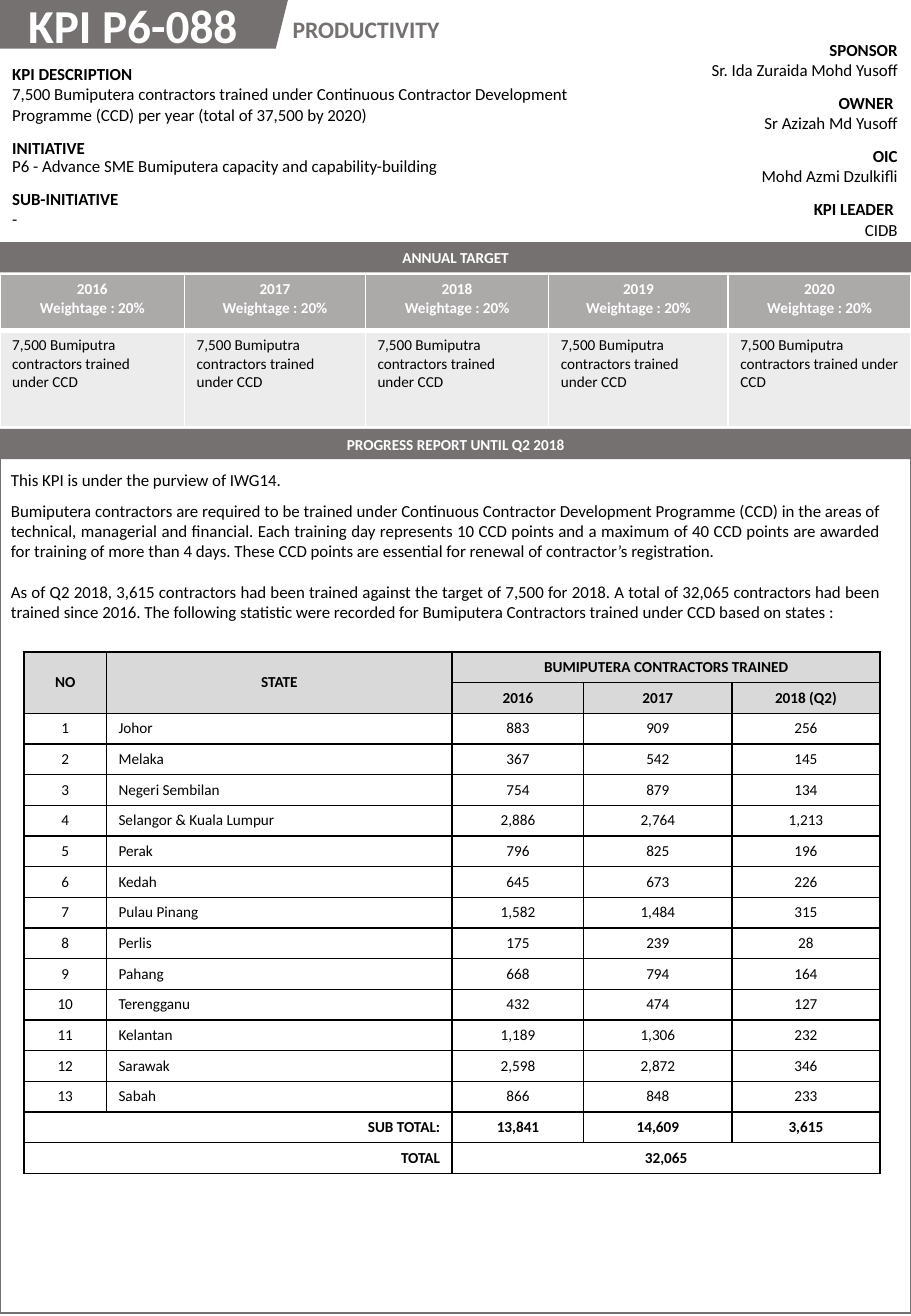
"""Build the one-page KPI P6-088 progress report."""
from lxml.etree import SubElement
from pptx import Presentation
from pptx.dml.color import RGBColor
from pptx.enum.shapes import MSO_SHAPE as SHAPE
from pptx.enum.text import MSO_ANCHOR as ANCHOR, MSO_AUTO_SIZE as AUTO_SIZE, PP_ALIGN as ALIGN
from pptx.oxml.ns import qn
from pptx.util import Pt

GREY = RGBColor(0x76, 0x71, 0x71)
PALE = RGBColor(0xD9, 0xD9, 0xD9)
BLACK = RGBColor(0, 0, 0)
WHITE = RGBColor(255, 255, 255)

PLAIN = {"name": "Calibri", "size": Pt(10), "bold": False}
STRONG = {**PLAIN, "bold": True}
SMALL = {**PLAIN, "size": Pt(9)}
SMALL_STRONG = {**SMALL, "bold": True}

TARGET = "7,500 Bumiputra contractors trained"
TARGETS = [
    (2016, [TARGET, "under CCD"]),
    (2017, [TARGET + " under CCD"]),
    (2018, [TARGET, "under CCD"]),
    (2019, [TARGET + " under CCD"]),
    (2020, [TARGET + " under CCD"]),
]
PEOPLE = [
    ("SPONSOR", "Sr. Ida Zuraida Mohd Yusoff", 1.0),
    ("OWNER ", "Sr Azizah Md Yusoff", 1.0),
    ("OIC", "Mohd Azmi Dzulkifli", 1.0),
    ("KPI LEADER ", "CIDB", 1.0),
]
DETAILS = [
    ("KPI DESCRIPTION", "7,500 Bumiputera contractors trained under Continuous Contractor "
     "Development Programme (CCD) per year (total of 37,500 by 2020)", 1.0),
    ("INITIATIVE", "P6 - Advance SME Bumiputera capacity and capability-building", 0.88),
    ("SUB-INITIATIVE", "-", 1.0),
]
REPORT = [
    ("This KPI is under the purview of IWG14.", ALIGN.LEFT, 0),
    ("Bumiputera contractors are required to be trained under Continuous Contractor "
     "Development Programme (CCD) in the areas of technical, managerial and financial. "
     "Each training day represents 10 CCD points and a maximum of 40 CCD points are awarded "
     "for training of more than 4 days. These CCD points are essential for renewal of "
     "contractor’s registration.", ALIGN.JUSTIFY, 6),
    ("As of Q2 2018, 3,615 contractors had been trained against the target of 7,500 for 2018. "
     "A total of 32,065 contractors had been trained since 2016. The following statistic were "
     "recorded for Bumiputera Contractors trained under CCD based on states :", ALIGN.JUSTIFY, 12),
]
STATES = [
    ("Johor", 883, 909, 256),
    ("Melaka", 367, 542, 145),
    ("Negeri Sembilan", 754, 879, 134),
    ("Selangor & Kuala Lumpur", 2886, 2764, 1213),
    ("Perak", 796, 825, 196),
    ("Kedah", 645, 673, 226),
    ("Pulau Pinang", 1582, 1484, 315),
    ("Perlis", 175, 239, 28),
    ("Pahang", 668, 794, 164),
    ("Terengganu", 432, 474, 127),
    ("Kelantan", 1189, 1306, 232),
    ("Sarawak", 2598, 2872, 346),
    ("Sabah", 866, 848, 233),
]


def write(para, text, font, color=BLACK, **layout):
    """Put one formatted run in a paragraph."""
    for key, value in layout.items():
        setattr(para, key, value)
    span = para.add_run()
    span.text = text
    for key, value in font.items():
        setattr(span.font, key, value)
    span.font.color.rgb = color


def paragraphs(frame, count):
    """Return the first paragraph of a text frame and as many new ones as needed."""
    return [frame.paragraphs[0]] + [frame.add_paragraph() for _ in range(count - 1)]


def add_block(slide, kind, left, top, width, height, fill=None):
    """Add a filled shape, or an outlined one when there is no fill."""
    block = slide.shapes.add_shape(kind, Pt(left), Pt(top), Pt(width), Pt(height))
    block.shadow.inherit = False
    if fill is None:
        block.fill.background()
        block.line.color.rgb = GREY
        block.line.width = Pt(1.5)
    else:
        block.fill.solid()
        block.fill.fore_color.rgb = fill
        block.line.fill.background()
    return block


def add_band(slide, top, text):
    """Add a full-width section band."""
    band = add_block(slide, SHAPE.RECTANGLE, 0, top, 540, 18, GREY)
    write(band.text_frame.paragraphs[0], text, SMALL_STRONG, WHITE, alignment=ALIGN.CENTER)


def add_grid(slide, left, top, widths, heights):
    """Add a table without style banding or fills."""
    table = slide.shapes.add_table(len(heights), len(widths), Pt(left), Pt(top),
                                   Pt(sum(widths)), Pt(sum(heights))).table
    table.first_row = table.horz_banding = False
    for column, width in zip(table.columns, widths):
        column.width = Pt(width)
    for row, height in zip(table.rows, heights):
        row.height = Pt(height)
    for cell in table.iter_cells():
        cell.fill.background()
    return table


def set_borders(cell, color, bottom=1):
    """Draw solid lines on the four sides of a cell."""
    properties = cell._tc.get_or_add_tcPr()
    for index, side in enumerate("LRTB"):
        line = SubElement(properties, qn("a:ln" + side), w=str(Pt(bottom if side == "B" else 1)))
        SubElement(SubElement(line, qn("a:solidFill")), qn("a:srgbClr"), val=str(color))
        properties.insert(index, line)


def set_fill(cell, color, opacity=100):
    """Fill a cell with a colour of the given opacity in percent."""
    cell.fill.solid()
    cell.fill.fore_color.rgb = color
    if opacity < 100:
        tint = cell._tc.tcPr.find(qn("a:solidFill")).find(qn("a:srgbClr"))
        SubElement(tint, qn("a:alpha"), val=str(opacity * 1000))


def add_details(slide, left, top, width, heights, sections, align):
    """Add a one-column table of headings with their text."""
    table = add_grid(slide, left, top, [width], heights)
    for row, (heading, text, spacing) in enumerate(sections):
        first, second = paragraphs(table.cell(row, 0).text_frame, 2)
        write(first, heading, STRONG, alignment=align)
        write(second, text, PLAIN, alignment=align, line_spacing=spacing)


def add_targets(slide):
    """Add the table of yearly targets."""
    table = add_grid(slide, 0, 162.7, [109.4, 107.2, 108.7, 106.4, 108.3], [33.1, 56.9])
    for column, (year, target) in enumerate(TARGETS):
        head, body = table.cell(0, column), table.cell(1, column)
        lines = [str(year), "Weightage : 20%"]
        for para, text in zip(paragraphs(head.text_frame, 2), lines):
            write(para, text, SMALL_STRONG, WHITE, alignment=ALIGN.CENTER)
        for para, text in zip(paragraphs(body.text_frame, len(target)), target):
            write(para, text, SMALL)
        set_borders(head, WHITE, bottom=3)
        set_borders(body, WHITE)
        set_fill(head, GREY, 60)
        set_fill(body, GREY, 13)


def add_states(slide):
    """Add the table of contractors trained by state."""
    states = [(number, *state) for number, state in enumerate(STATES, 1)]
    totals = [sum(column) for column in list(zip(*STATES))[1:]]
    rows = [("NO", "STATE", "BUMIPUTERA CONTRACTORS TRAINED", "", ""),
            ("", "", "2016", "2017", "2018 (Q2)"), *states,
            ("SUB TOTAL:", "", *totals), ("TOTAL", "", sum(totals), "", "")]
    last = len(rows) - 1
    table = add_grid(slide, 14.3, 386.5, [48.8, 205, 78, 87.8, 87.8], [18] * len(rows))
    for top, left, bottom, right in [(0, 0, 1, 0), (0, 1, 1, 1), (0, 2, 0, 4),
                                     (last - 1, 0, last - 1, 1), (last, 0, last, 1), (last, 2, last, 4)]:
        table.cell(top, left).merge(table.cell(bottom, right))
    for row, values in enumerate(rows):
        is_head, is_total = row < 2, row >= last - 1
        for column, value in enumerate(values):
            cell = table.cell(row, column)
            set_borders(cell, BLACK)
            cell.vertical_anchor = ANCHOR.MIDDLE
            if is_head:
                set_fill(cell, PALE)
            if value == "":
                continue
            align = ALIGN.CENTER
            if is_total and column == 0:
                align = ALIGN.RIGHT
            elif column == 1 and not is_head:
                align = ALIGN.LEFT
            text = f"{value:,}" if isinstance(value, int) else value
            font = SMALL_STRONG if is_head or is_total else SMALL
            write(cell.text_frame.paragraphs[0], text, font, alignment=align)


def place(holder, left, top, width, height):
    """Move a placeholder to the front and fix its box."""
    holder.element.getparent().append(holder.element)
    box = {"left": left, "top": top, "width": width, "height": height}
    for key, value in box.items():
        setattr(holder, key, Pt(value))
    frame = holder.text_frame
    frame.auto_size, frame.vertical_anchor = AUTO_SIZE.NONE, ANCHOR.TOP
    return frame


def add_report(holder):
    """Write the progress report in the body placeholder."""
    frame = place(holder, -0.7, 275, 529.2, 110)
    for para, (text, align, before) in zip(paragraphs(frame, len(REPORT)), REPORT):
        properties = para._p.get_or_add_pPr()
        properties.set("marL", "0")
        properties.set("indent", "0")
        SubElement(properties, qn("a:buNone"))
        write(para, text, PLAIN, alignment=align, space_before=Pt(before))


def main():
    """Build and save the deck."""
    deck = Presentation()
    deck.slide_width, deck.slide_height = Pt(540), Pt(780)
    page = deck.slides.add_slide(deck.slide_layouts[1])
    add_block(page, SHAPE.PARALLELOGRAM, -12.2, 0, 182.9, 28.8, GREY)
    add_block(page, SHAPE.RECTANGLE, 0, 270, 540, 508.3)
    add_details(page, 339.8, 20.2, 199.4, [31.2] * 4, PEOPLE, ALIGN.RIGHT)
    add_details(page, 0, 34.6, 375, [43.2, 30.5, 30.5], DETAILS, ALIGN.LEFT)
    add_report(page.placeholders[1])
    theme = page.shapes.add_textbox(Pt(166.3), Pt(5.2), Pt(104.4), Pt(24.4)).text_frame
    theme.word_wrap = False
    write(theme.paragraphs[0], "PRODUCTIVITY", {**STRONG, "size": Pt(14)}, GREY)
    title = place(page.shapes.title, 9.4, -5.6, 161.3, 41)
    write(title.paragraphs[0], "KPI P6-088", {**STRONG, "size": Pt(28)}, WHITE, alignment=ALIGN.LEFT)
    add_band(page, 254.2, "PROGRESS REPORT UNTIL Q2 2018")
    add_band(page, 143.5, "ANNUAL TARGET")
    add_targets(page)
    add_states(page)
    deck.save("out.pptx")


if __name__ == "__main__":
    main()
